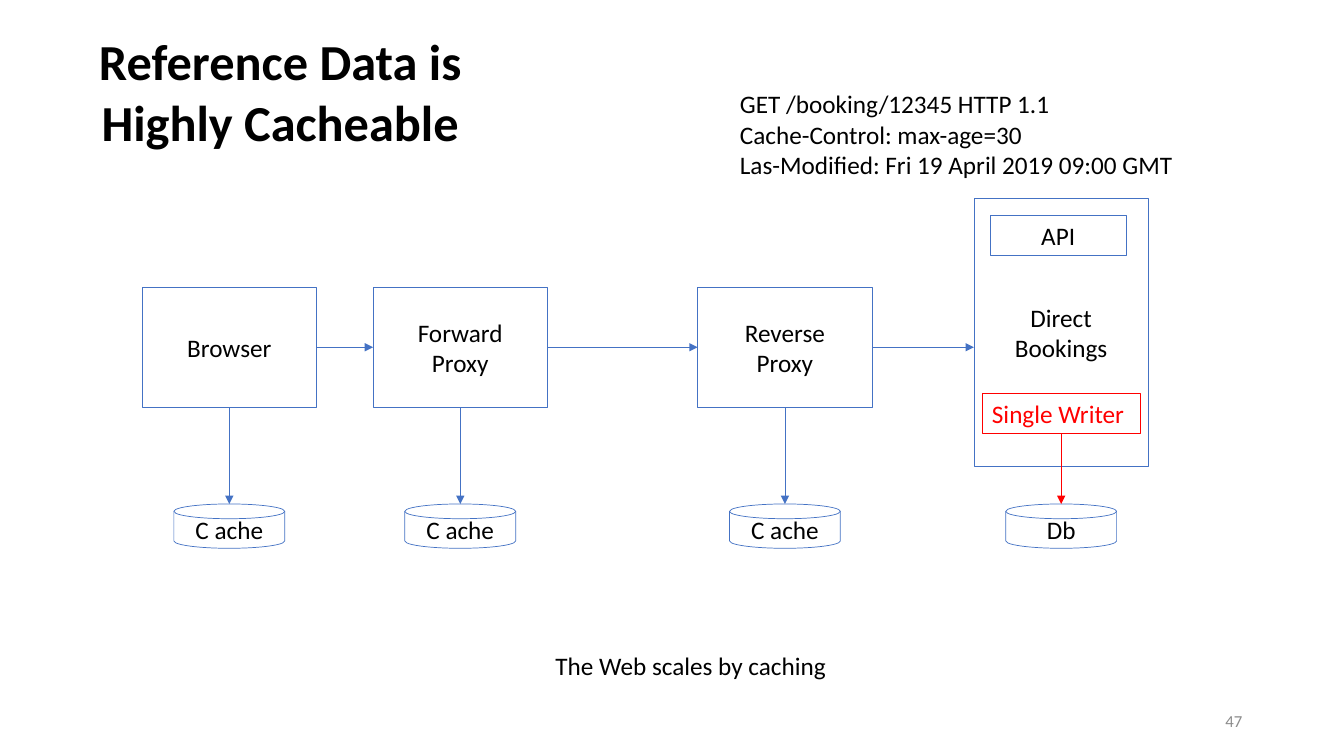
"""Build the slide showing how reference data is cached along a request chain."""
from lxml.etree import SubElement
from pptx import Presentation
from pptx.dml.color import RGBColor
from pptx.enum.shapes import MSO_CONNECTOR, MSO_SHAPE
from pptx.enum.text import MSO_ANCHOR, PP_ALIGN
from pptx.oxml.ns import qn
from pptx.util import Inches, Pt

COLORS = {"blue": "4472C4", "red": "FF0000", "black": "000000", "gray": "8C8C8C"}
BOX_WIDTH, BOX_TOP, BOX_HEIGHT = 1.73, 2.85, 1.19
DISK_WIDTH, DISK_TOP, DISK_HEIGHT = 1.1, 5, 0.44
FLOW_Y = BOX_TOP + BOX_HEIGHT / 2

presentation = Presentation()
presentation.slide_width, presentation.slide_height = Inches(13.33), Inches(7.5)
slide = presentation.slides.add_slide(presentation.slide_layouts[5])


def write(shape, lines, color="black", size=18, bold=False,
          align=PP_ALIGN.LEFT, anchor=MSO_ANCHOR.TOP):
    frame = shape.text_frame
    frame.word_wrap = True
    frame.vertical_anchor = anchor
    frame.text = "\n".join(lines)
    font_format = {"name": "Calibri", "size": Pt(size), "bold": bold}
    for paragraph in frame.paragraphs:
        paragraph.alignment = align
        for name, value in font_format.items():
            setattr(paragraph.font, name, value)
        paragraph.font.color.rgb = RGBColor.from_string(COLORS[color])


def outline(shape, color, width):
    shape.line.color.rgb = RGBColor.from_string(COLORS[color])
    shape.line.width = Pt(width)


title = slide.shapes.title
title_place = {"left": 0.44, "top": 0.25, "width": 4.68, "height": 1.31}
for name, value in title_place.items():
    setattr(title, name, Inches(value))
write(title, ["Reference Data is Highly Cacheable"], size=36, bold=True,
      align=PP_ALIGN.CENTER)

CENTER = {"align": PP_ALIGN.CENTER}
MIDDLE = {"align": PP_ALIGN.CENTER, "anchor": MSO_ANCHOR.MIDDLE}
stages = [
    (1.41, ["Browser"]),
    (3.7, ["Forward", "Proxy"]),
    (6.92, ["Reverse", "Proxy"]),
]
server_left = 9.66
server_center = server_left + BOX_WIDTH / 2

rectangle, disk = MSO_SHAPE.RECTANGLE, MSO_SHAPE.FLOWCHART_MAGNETIC_DISK
nodes = [
    (rectangle, (server_left, 1.97, BOX_WIDTH, 2.66), ["Direct", "Bookings"], "blue", 0.5, MIDDLE),
    (rectangle, (9.82, 2.14, 1.35, 0.4), ["API"], "blue", 0.75, CENTER),
    (rectangle, (9.74, 3.9, 1.57, 0.4), ["Single Writer"], "red", 0.75, {"color": "red"}),
]
stores = [(server_center, "Db")]
arrows = [(server_center, 4.3, server_center, DISK_TOP, "red")]
next_lefts = [left for left, lines in stages[1:]] + [server_left]
for (left, lines), next_left in zip(stages, next_lefts):
    center = left + BOX_WIDTH / 2
    nodes.append((rectangle, (left, BOX_TOP, BOX_WIDTH, BOX_HEIGHT), lines, "blue", 0.5, MIDDLE))
    stores.append((center, "C ache"))
    arrows.append((center, BOX_TOP + BOX_HEIGHT, center, DISK_TOP, "blue"))
    arrows.append((left + BOX_WIDTH, FLOW_Y, next_left, FLOW_Y, "blue"))
for center, label in stores:
    place = (center - DISK_WIDTH / 2, DISK_TOP, DISK_WIDTH, DISK_HEIGHT)
    nodes.append((disk, place, [label], "blue", 0.5, MIDDLE))

for kind, place, lines, color, width, text_format in nodes:
    node = slide.shapes.add_shape(kind, *map(Inches, place))
    node.shadow.inherit = False
    node.fill.background()
    outline(node, color, width)
    write(node, lines, **text_format)

for *ends, color in arrows:
    arrow = slide.shapes.add_connector(MSO_CONNECTOR.STRAIGHT, *map(Inches, ends))
    outline(arrow, color, 0.5)
    SubElement(arrow.line._get_or_add_ln(), qn("a:tailEnd"), type="triangle")
    SubElement(arrow._element.spPr, qn("a:effectLst"))

request = [
    "GET /booking/12345 HTTP 1.1",
    "Cache-Control: max-age=30",
    "Las-Modified: Fri 19 April 2019 09:00 GMT",
]
page_number_format = {"color": "gray", "size": 12, "align": PP_ALIGN.RIGHT,
                      "anchor": MSO_ANCHOR.MIDDLE}
notes = [
    ((7.24, 0.83, 4.95, 1.01), request, {}),
    ((5.41, 6.4, 3.02, 0.4), ["The Web scales by caching"], {}),
    ((9.42, 6.95, 3, 0.4), ["47"], page_number_format),
]
for place, lines, text_format in notes:
    note = slide.shapes.add_textbox(*map(Inches, place))
    write(note, lines, **text_format)

presentation.save("out.pptx")
